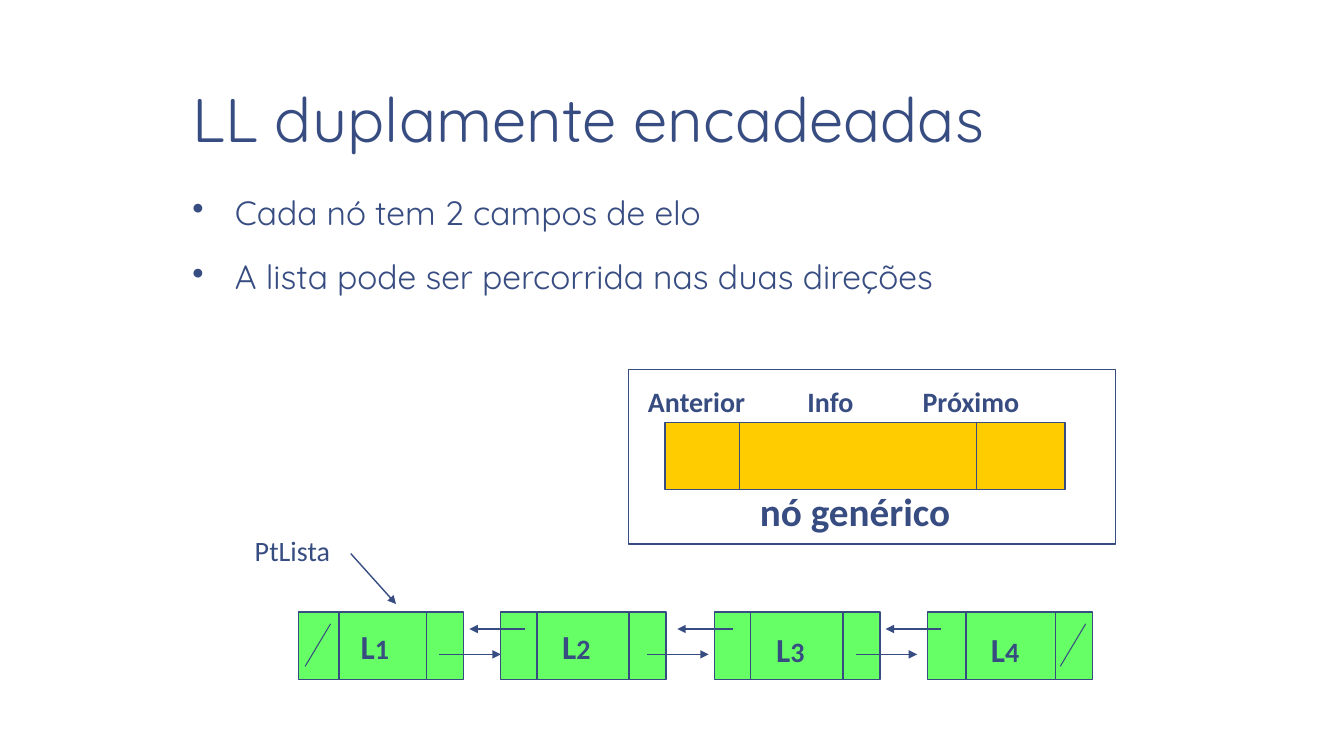
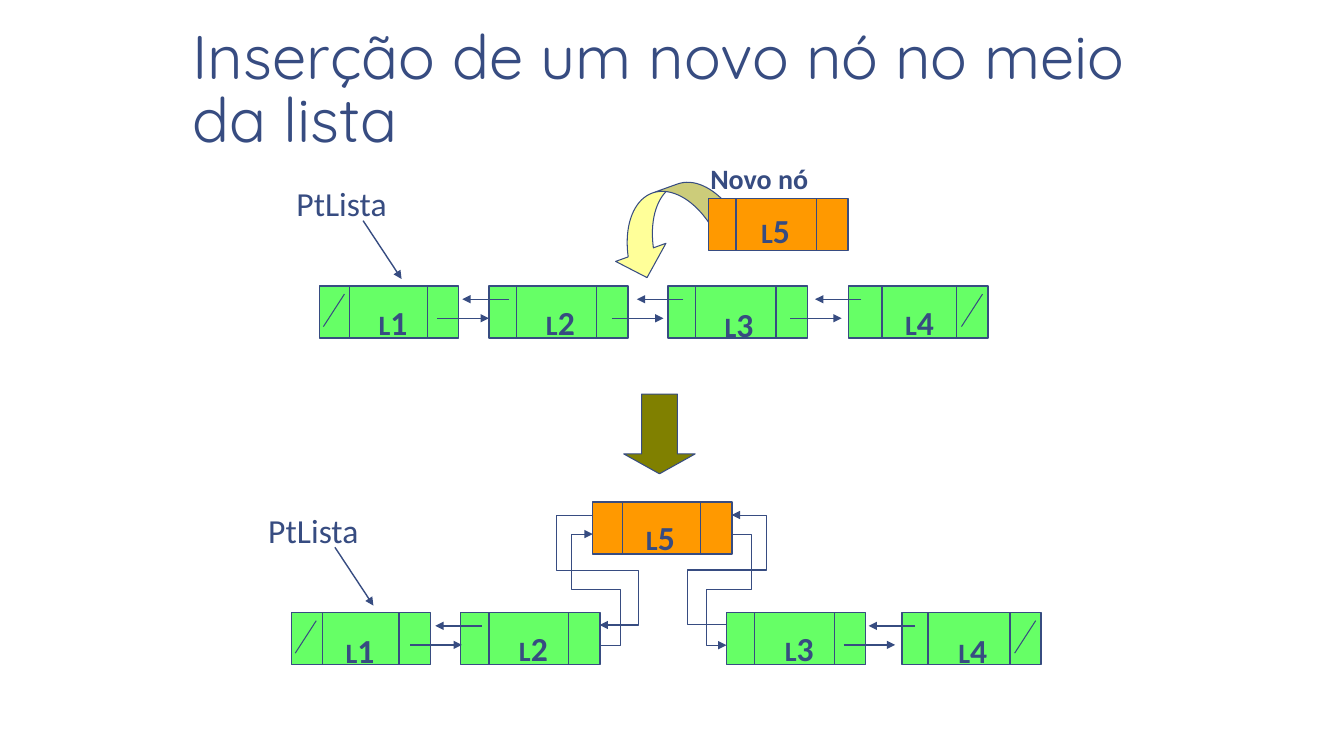
"""Builds two slides on doubly linked lists and the insertion of a node."""
from dataclasses import dataclass

from lxml import etree
from pptx import Presentation
from pptx.dml.color import RGBColor
from pptx.enum.shapes import MSO_CONNECTOR, MSO_SHAPE
from pptx.enum.text import MSO_ANCHOR
from pptx.oxml.ns import qn
from pptx.util import Cm, Pt

RECTANGLE = MSO_SHAPE.RECTANGLE
DOWN_ARROW = MSO_SHAPE.DOWN_ARROW
CURVED_ARROW = MSO_SHAPE.CURVED_LEFT_ARROW
STRAIGHT = MSO_CONNECTOR.STRAIGHT
ELBOW = MSO_CONNECTOR.ELBOW
TOP = MSO_ANCHOR.TOP
BOTTOM = MSO_ANCHOR.BOTTOM


@dataclass(frozen=True)
class Theme:
    """Colours, fonts, type sizes and line widths."""
    ink: str = "374C81"
    paper: str = "FFFFFF"
    node: str = "66FF66"
    new_node: str = "FF9900"
    generic_node: str = "FFCC00"
    curved_arrow: str = "FFFF99"
    down_arrow: str = "808000"
    heading_font: str = "Quicksand"
    label_font: str = "Calibri"
    title: int = 44
    caption: int = 28
    body: int = 24
    small: int = 20
    line: float = 1
    thin: float = 0.75


@dataclass(frozen=True)
class NodeStyle:
    """Measures of a list node and its arrows, in centimetres from the node corner."""
    size: tuple
    second_divider: float
    label_sizes: tuple
    next_arrow: tuple
    previous_arrow: tuple
    slash_starts: tuple
    slash: tuple
    pointer: tuple
    pointer_label: tuple
    pointer_size: int


THEME = Theme()
LARGE = NodeStyle(
    size=(4.17, 1.7), second_divider=3.23, label_sizes=(THEME.body, THEME.small),
    next_arrow=(0, 1.07, 1.55), previous_arrow=(2.16, 0.43, -1.4),
    slash_starts=(0.81, 3.99), slash=(0.3, -0.64, 1.07),
    pointer=(1.32, -1.47, 1.14, 1.27), pointer_label=(-1.35, -2.11), pointer_size=THEME.small)
SMALL = NodeStyle(
    size=(3.51, 1.31), second_divider=2.72, label_sizes=(THEME.small, THEME.body),
    next_arrow=(0, 0.81, 1.3), previous_arrow=(1.8, 0.33, -1.17),
    slash_starts=(0.63, 3.37), slash=(0.2, -0.53, 0.82),
    pointer=(1.1, -1.65, 0.97, 1.47), pointer_label=(-0.83, -2.72), pointer_size=THEME.body)

SLIDE_SIZE = (33.87, 19.05)
TITLE_BOX = (4.52, 0.2, 24.99, 3.89)
BODY_BOX = (4.52, 4.72, 24.99, 4)
WIDE_INSETS = (0.33, 0.18)
BULLET_INDENT = 1.07

TITLES = ("LL duplamente encadeadas", "Inserção de um novo nó no meio da lista")
BULLETS = ("Cada nó tem 2 campos de elo", "A lista pode ser percorrida nas duas direções")
POINTER_NAME = "PtLista"

# Nodes: number, left, first divider, label left, label top
FULL_LIST = dict(
    style=LARGE, top=15.42, pairs=(11.07, 16.31, 21.56),
    nodes=(("1", 7.52, 1.02, 1.32, 0.23), ("2", 12.62, 0.91, 1.3, 0.23),
           ("3", 18.01, 0.91, 1.3, 0.3), ("4", 23.37, 0.97, 1.35, 0.3)))
LIST_BEFORE = dict(
    style=SMALL, top=7.21, pairs=(11.02, 15.42, 19.91),
    nodes=(("1", 8.05, 0.76, 1.24, 0.28), ("2", 12.32, 0.69, 1.19, 0.28),
           ("3", 16.84, 0.69, 1.17, 0.33), ("4", 21.39, 0.84, 1.17, 0.28)))
LIST_AFTER = dict(
    style=SMALL, top=15.44, pairs=(10.34, 21.26),
    nodes=(("1", 7.34, 0.79, 1.12, 0.3), ("2", 11.61, 0.71, 1.22, 0.25),
           ("3", 18.31, 0.71, 1.22, 0.25), ("4", 22.73, 0.66, 1.17, 0.3)))
NEW_NODES = ((5, ("5", 17.86, 0.69, 1.07, 0.15)), (12.65, ("5", 14.94, 0.74, 1.09, 0.25)))

PANEL = (15.85, 9.32, 12.27, 4.39)
GENERIC_NODE = (16.76, 10.64, 10.08, 1.7)
GENERIC_DIVIDERS = (1.88, 7.85)
FIELD_TOP = 9.55
FIELDS = (("Anterior", 16.08), ("Info", 20.1), ("Próximo", 23))
GENERIC_CAPTION = ("nó genérico", (18.9, 12.14, 6, 1.45))
NEW_CAPTION = ("Novo nó", (17.65, 3.94, 3.4, 1.12))

# Links: start, end, horizontal positions of the two bends
NEW_LINKS = (((15.11, 16.26), (14.94, 13.46), (15.65, 14.4)),
             ((18.44, 13.46), (18.31, 16.26), (18.95, 17.81)),
             ((18.31, 15.75), (18.44, 12.98), (17.32, 19.33)),
             ((14.94, 12.98), (15.11, 15.75), (14.02, 16.08)))
CURVED = dict(box=(15.95, 4.04, 1.96, 3.38), adjustments=(0.344, 0.687, 0.333))
DOWN = dict(box=(15.72, 9.93, 1.8, 2.01), adjustments=(0.5, 0.278))


def set_format(target, values):
    for name, value in values.items():
        setattr(target, name, value)


def set_line(line, width):
    line.color.rgb = RGBColor.from_string(THEME.ink)
    line.width = Pt(width)


def add_run(paragraph, text, size, font=THEME.label_font, bold=False):
    run = paragraph.add_run()
    run.text = text
    set_format(run.font, dict(size=Pt(size), name=font, bold=bold))
    run.font.color.rgb = RGBColor.from_string(THEME.ink)


def add_frame(slide, box, insets=(0.25, 0.13), anchor=TOP):
    frame = slide.shapes.add_textbox(*map(Cm, box)).text_frame
    horizontal, vertical = map(Cm, insets)
    set_format(frame, dict(
        word_wrap=True, vertical_anchor=anchor, margin_left=horizontal,
        margin_right=horizontal, margin_top=vertical, margin_bottom=vertical))
    return frame


def add_label(slide, box, *runs, bold=True):
    paragraph = add_frame(slide, box).paragraphs[0]
    for text, size in runs:
        add_run(paragraph, text, size, bold=bold)


def add_title(slide, text):
    paragraph = add_frame(slide, TITLE_BOX, WIDE_INSETS, BOTTOM).paragraphs[0]
    paragraph.line_spacing = 0.85
    add_run(paragraph, text, THEME.title, THEME.heading_font)


def add_bullets(slide, lines):
    frame = add_frame(slide, BODY_BOX, WIDE_INSETS)
    for index, text in enumerate(lines):
        paragraph = frame.add_paragraph() if index else frame.paragraphs[0]
        set_format(paragraph, dict(line_spacing=0.95, space_before=Pt(18.7 if index else 0)))
        properties = paragraph._p.get_or_add_pPr()
        properties.set("marL", str(Cm(BULLET_INDENT)))
        properties.set("indent", str(-Cm(BULLET_INDENT)))
        etree.SubElement(properties, qn("a:buChar"), char="•")
        add_run(paragraph, text, THEME.body, THEME.heading_font)


def add_block(slide, kind, box, fill, width=THEME.line, adjustments=()):
    shape = slide.shapes.add_shape(kind, *map(Cm, box))
    shape.shadow.inherit = False
    shape.fill.solid()
    shape.fill.fore_color.rgb = RGBColor.from_string(fill)
    set_line(shape.line, width)
    for index, value in enumerate(adjustments):
        shape.adjustments[index] = value
    return shape


def add_line(slide, start, end, width=THEME.line, arrow=False, kind=STRAIGHT):
    connector = slide.shapes.add_connector(kind, *map(Cm, (*start, *end)))
    set_line(connector.line, width)
    properties = connector.element.spPr
    if arrow:
        etree.SubElement(properties.find(qn("a:ln")), qn("a:tailEnd"), type="triangle")
    etree.SubElement(properties, qn("a:effectLst"))
    return connector


def add_link(slide, start, end, bends):
    connector = add_line(slide, start, end, THEME.thin, True, ELBOW)
    geometry = connector.element.spPr.find(qn("a:prstGeom"))
    geometry.set("prst", "bentConnector5")
    guides = geometry.find(qn("a:avLst"))
    if guides is None:
        guides = etree.SubElement(geometry, qn("a:avLst"))
    first, last = ((bend - start[0]) / (end[0] - start[0]) for bend in bends)
    for index, value in enumerate((first, 0.5, last), 1):
        etree.SubElement(guides, qn("a:gd"), name=f"adj{index}",
                         fmla=f"val {round(value * 100000)}")


def add_divided_box(slide, box, dividers, fill):
    add_block(slide, RECTANGLE, box, fill)
    left, top, _, height = box
    for offset in dividers:
        add_line(slide, (left + offset, top), (left + offset, top + height))


def add_node(slide, style, top, node, fill):
    number, left, divider, label_left, label_top = node
    add_divided_box(slide, (left, top, *style.size), (divider, style.second_divider), fill)
    add_label(slide, (left + label_left, top + label_top, 1.6, 1.27),
              *zip(("L", number), style.label_sizes))


def add_list(slide, style, top, nodes, pairs):
    for node in nodes:
        add_node(slide, style, top, node, THEME.node)
    for pair in pairs:
        for offset, drop, length in (style.next_arrow, style.previous_arrow):
            start = (pair + offset, top + drop)
            add_line(slide, start, (start[0] + length, start[1]), arrow=True)
    drop, run, rise = style.slash
    for node, offset in zip((nodes[0], nodes[-1]), style.slash_starts):
        start = (node[1] + offset, top + drop)
        add_line(slide, start, (start[0] + run, start[1] + rise), THEME.thin)
    left = nodes[0][1]
    offset, drop, run, fall = style.pointer
    start = (left + offset, top + drop)
    add_line(slide, start, (start[0] + run, start[1] + fall), arrow=True)
    offset, drop = style.pointer_label
    add_label(slide, (left + offset, top + drop, 3.2, 1.3),
              (POINTER_NAME, style.pointer_size), bold=False)


def build_structure(slide):
    add_bullets(slide, BULLETS)
    add_list(slide, **FULL_LIST)
    add_block(slide, RECTANGLE, PANEL, THEME.paper, THEME.thin)
    add_divided_box(slide, GENERIC_NODE, GENERIC_DIVIDERS, THEME.generic_node)
    for name, left in FIELDS:
        add_label(slide, (left, FIELD_TOP, 3.4, 1.12), (name, THEME.small))
    caption, box = GENERIC_CAPTION
    add_label(slide, box, (caption, THEME.caption))


def build_insertion(slide):
    for chain in (LIST_BEFORE, LIST_AFTER):
        add_list(slide, **chain)
    curved = add_block(slide, CURVED_ARROW, fill=THEME.curved_arrow, width=THEME.thin, **CURVED)
    curved.rotation = 250.2
    curved.element.spPr.find(qn("a:xfrm")).set("flipV", "1")
    add_block(slide, DOWN_ARROW, fill=THEME.down_arrow, width=THEME.thin, **DOWN)
    for top, node in NEW_NODES:
        add_node(slide, SMALL, top, node, THEME.new_node)
    for link in NEW_LINKS:
        add_link(slide, *link)
    caption, box = NEW_CAPTION
    add_label(slide, box, (caption, THEME.small))


def main():
    presentation = Presentation()
    presentation.slide_width, presentation.slide_height = map(Cm, SLIDE_SIZE)
    for title, build in zip(TITLES, (build_structure, build_insertion)):
        slide = presentation.slides.add_slide(presentation.slide_layouts[6])
        add_title(slide, title)
        build(slide)
    presentation.save("out.pptx")


if __name__ == "__main__":
    main()
